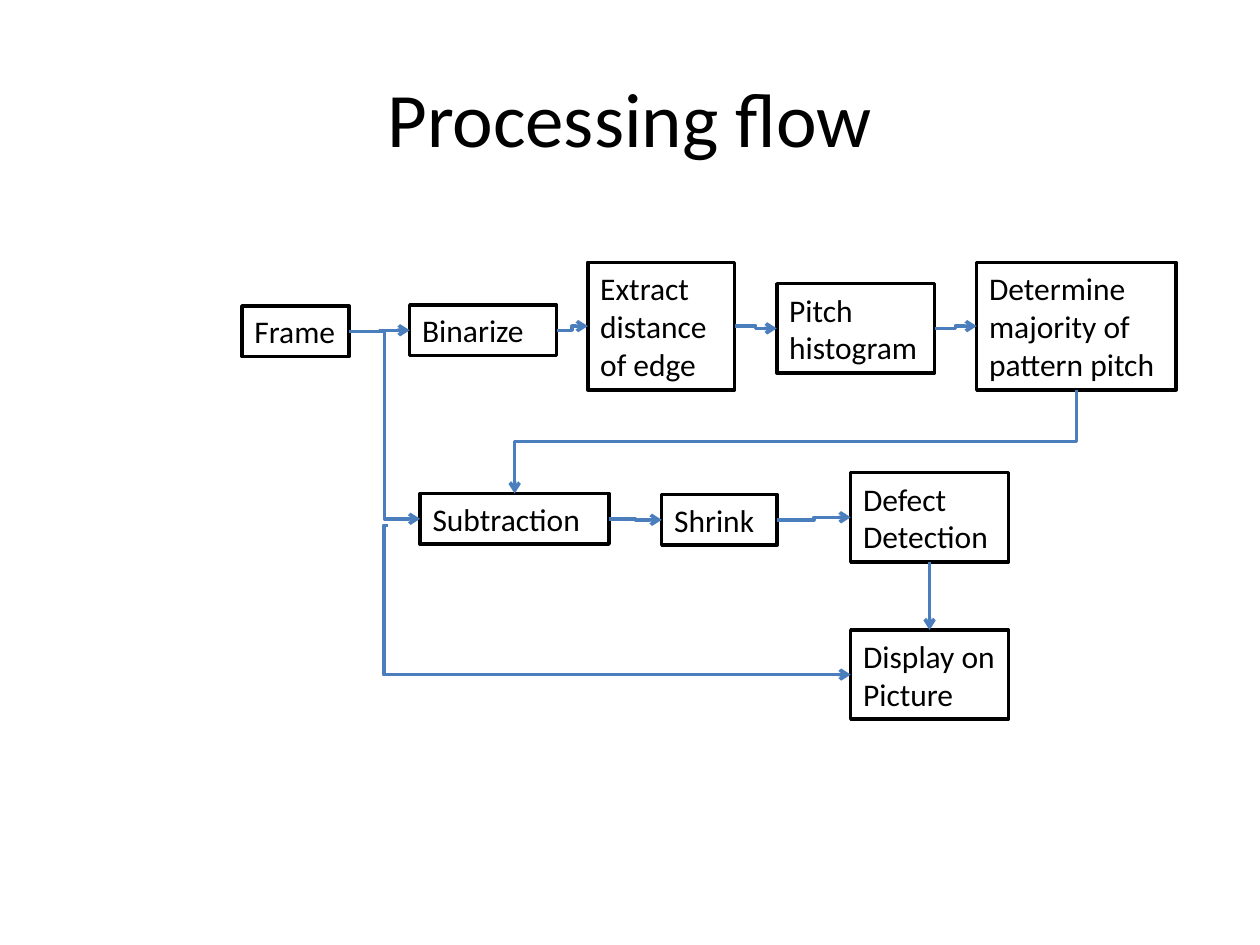
import pptx
import pptx.util
import pptx.dml.color
import pptx.enum.shapes
import pptx.enum.text
import pptx.oxml
import pptx.oxml.ns
import lxml.etree

Cm = pptx.util.Cm
Pt = pptx.util.Pt
LINK = pptx.enum.shapes.MSO_CONNECTOR
ALIGN = pptx.enum.text.PP_ALIGN
TOP, LEFT, BOTTOM, RIGHT = range(4)


def color(code):
    return pptx.dml.color.RGBColor.from_string(code)


def write(shape, text, size=18, align=ALIGN.LEFT, fit=True):
    frame = shape.text_frame
    frame.word_wrap = True
    frame.vertical_anchor = pptx.enum.text.MSO_ANCHOR.MIDDLE
    if fit:
        frame.auto_size = pptx.enum.text.MSO_AUTO_SIZE.SHAPE_TO_FIT_TEXT
    para = frame.paragraphs[0]
    para.alignment = align
    run = para.add_run()
    run.text = text
    run.font.name = "Calibri"
    run.font.size = Pt(size)
    run.font.color.rgb = color("000000")


deck = pptx.Presentation()
deck.slide_width = Cm(25.4)
deck.slide_height = Cm(19.05)
slide = deck.slides.add_slide(deck.slide_layouts[6])

# Title
title = slide.shapes.add_textbox(Cm(1.27), Cm(0.76), Cm(22.86), Cm(3.18))
write(title, "Processing flow", size=44, align=ALIGN.CENTER, fit=False)

# Steps: text, left, top, width, height
steps = [
    ("Frame", 4.88, 6.17, 2.16, 1.02),
    ("Binarize", 8.26, 6.15, 2.96, 1.02),
    ("Extract distance of edge", 11.85, 5.29, 2.96, 2.57),
    ("Pitch histogram", 15.66, 5.72, 3.18, 1.8),
    ("Determine majority of pattern pitch", 19.69, 5.29, 4.02, 2.57),
    ("Subtraction", 8.47, 9.95, 3.81, 1.02),
    ("Shrink", 13.34, 9.97, 2.33, 1.02),
    ("Defect Detection", 17.15, 9.53, 3.18, 1.8),
    ("Display on Picture", 17.15, 12.7, 3.18, 1.8),
]
boxes = {}
for text, *place in steps:
    box = slide.shapes.add_shape(
        pptx.enum.shapes.MSO_SHAPE.RECTANGLE, *[Cm(n) for n in place])
    box.shadow.inherit = False
    box.fill.solid()
    box.fill.fore_color.rgb = color("FFFFFF")
    box.line.color.rgb = color("000000")
    box.line.width = Pt(2)
    write(box, text)
    boxes[text.split()[0]] = box

# Arrows: kind, from box, side, to box, side
flow = [
    (LINK.ELBOW, "Frame", RIGHT, "Binarize", LEFT),
    (LINK.ELBOW, "Binarize", RIGHT, "Extract", LEFT),
    (LINK.ELBOW, "Extract", RIGHT, "Pitch", LEFT),
    (LINK.ELBOW, "Pitch", RIGHT, "Determine", LEFT),
    (LINK.ELBOW, "Determine", BOTTOM, "Subtraction", TOP),
    (LINK.ELBOW, "Frame", RIGHT, "Subtraction", LEFT),
    (LINK.ELBOW, None, None, "Display", LEFT),
    (LINK.ELBOW, "Subtraction", RIGHT, "Shrink", LEFT),
    (LINK.ELBOW, "Shrink", RIGHT, "Defect", LEFT),
    (LINK.STRAIGHT, "Defect", BOTTOM, "Display", TOP),
]
for kind, start, out, end, side in flow:
    # The free start lies on the branch below the frame
    arrow = slide.shapes.add_connector(kind, Cm(7.82), Cm(10.59), 0, 0)
    if start:
        arrow.begin_connect(boxes[start], out)
    arrow.end_connect(boxes[end], side)
    arrow.line.color.rgb = color("4B7EBC")
    arrow.line.width = Pt(2)
    props = arrow._element.spPr
    tail = lxml.etree.SubElement(
        arrow.line._get_or_add_ln(), pptx.oxml.ns.qn("a:tailEnd"))
    tail.set("type", "arrow")
    lxml.etree.SubElement(props, pptx.oxml.ns.qn("a:effectLst"))

    if not start:
        # Bend just left of the free start
        guides = props.find(".//" + pptx.oxml.ns.qn("a:avLst"))
        guide = lxml.etree.SubElement(guides, pptx.oxml.ns.qn("a:gd"))
        guide.set("name", "adj1")
        guide.set("fmla", "val -900")
    elif kind == LINK.ELBOW and out == BOTTOM:
        # Turn the elbow so that it leaves downward, then runs left
        wide, high = arrow.width, arrow.height
        mid_x, mid_y = arrow.left + wide // 2, arrow.top + high // 2
        arrow.left, arrow.top = mid_x - high // 2, mid_y - wide // 2
        arrow.width, arrow.height = high, wide
        props.xfrm.set("rot", "5400000")
        props.xfrm.set("flipH", "0")

deck.save("out.pptx")
